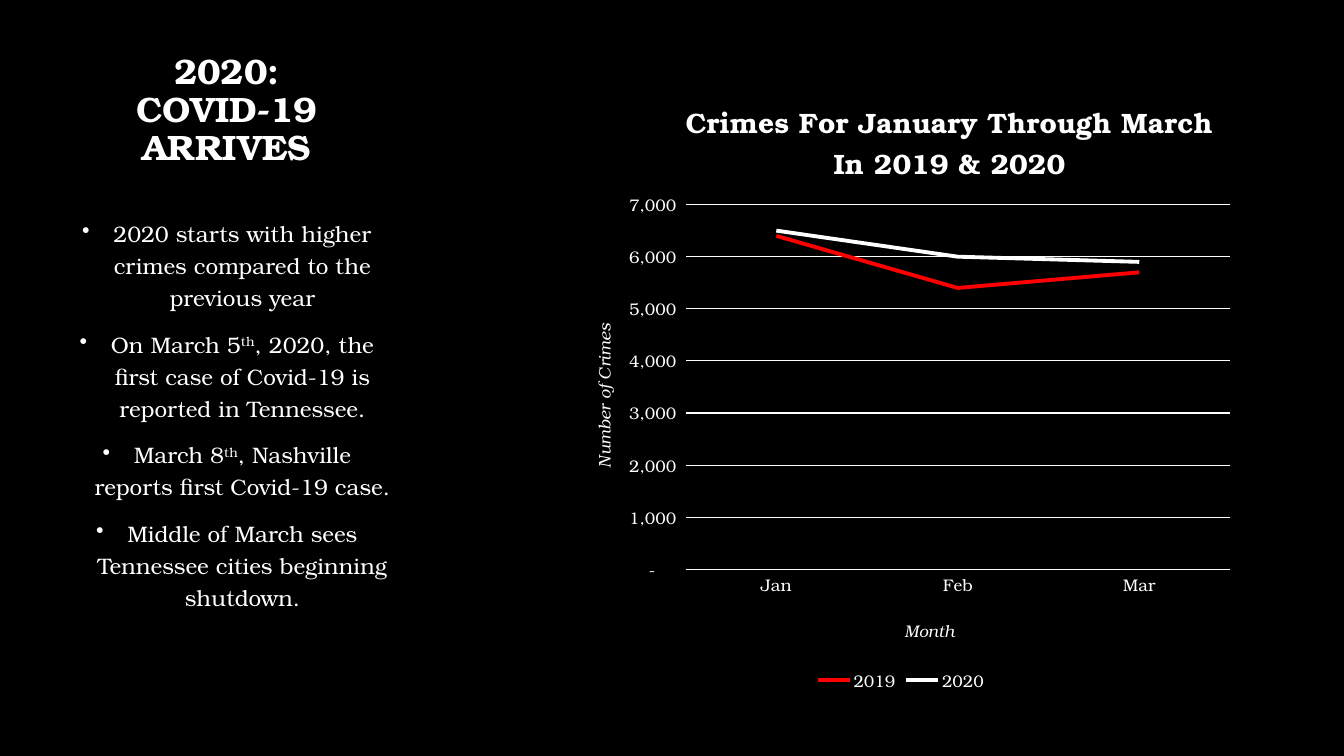
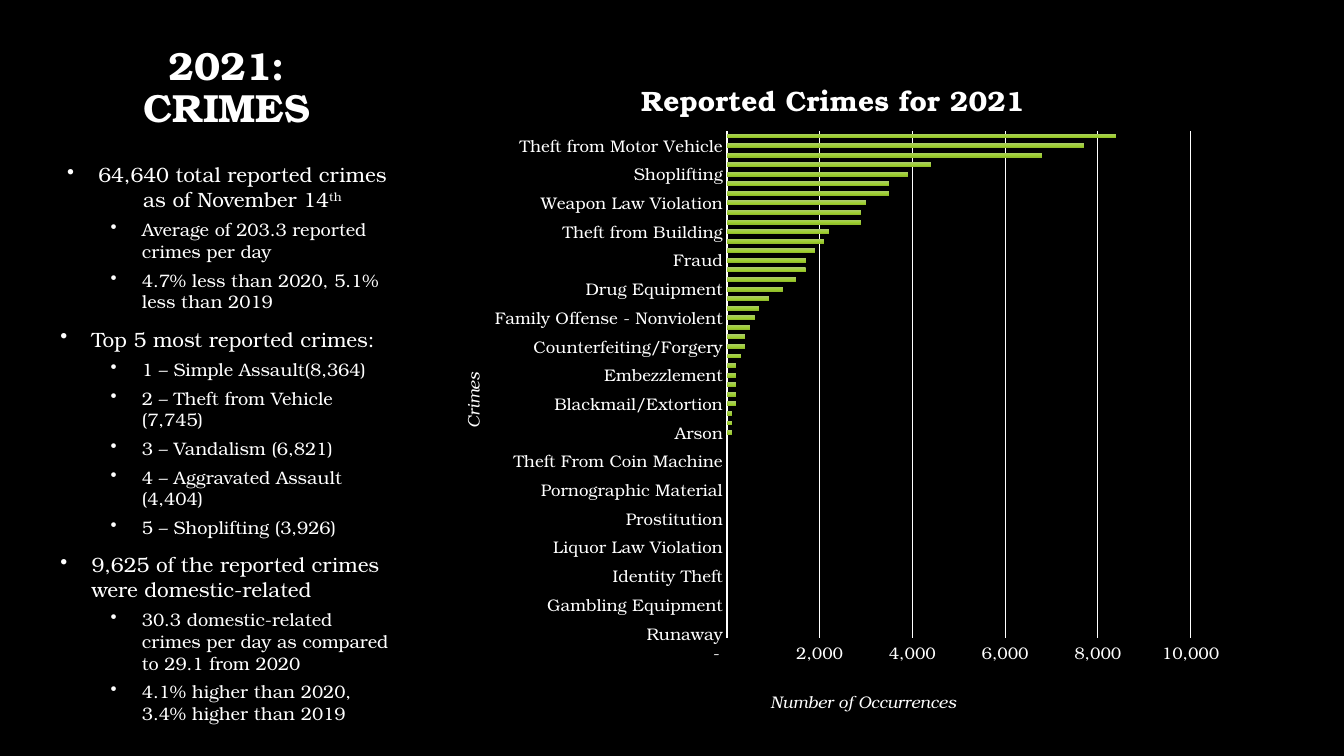
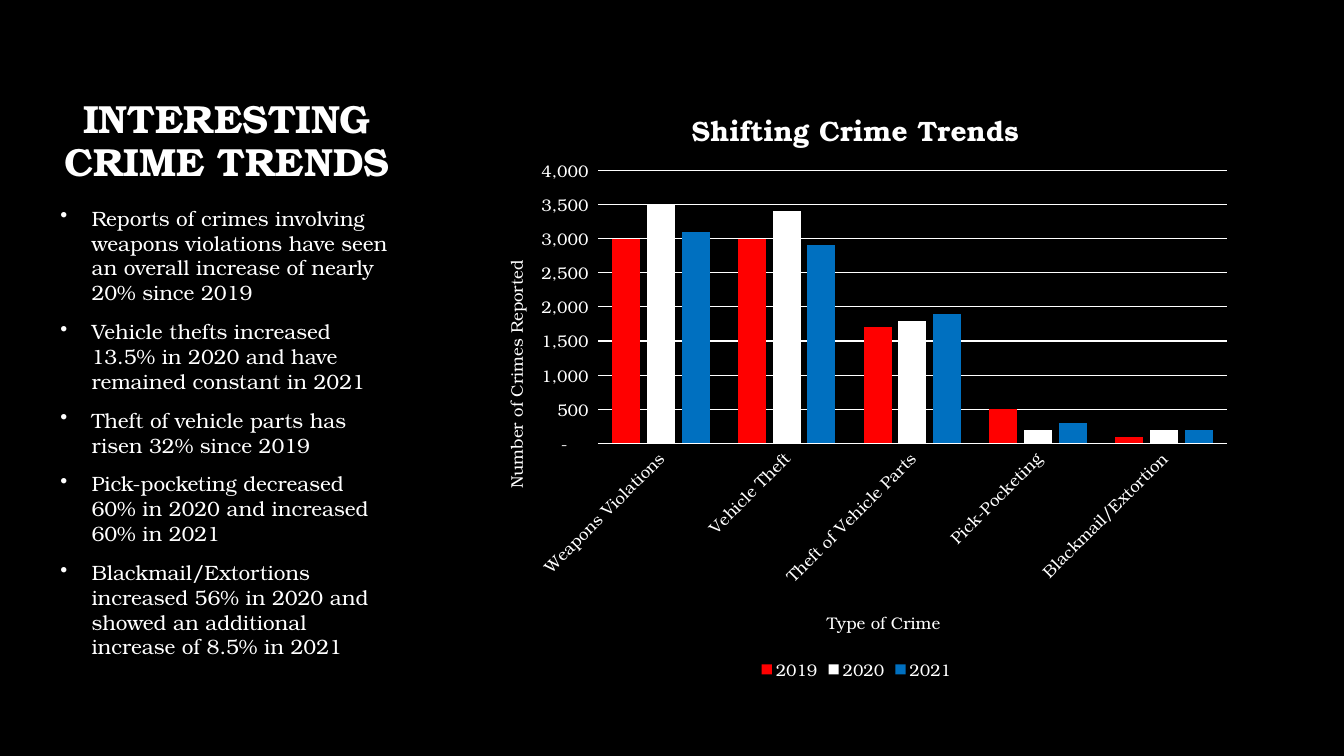
"""Build three slides on crime figures, each with bullets and a chart."""
import copy

import pptx
import pptx.chart.data
import pptx.dml.color
import pptx.enum.chart
import pptx.enum.text
import pptx.oxml
import pptx.oxml.ns
import pptx.util

Inches = pptx.util.Inches
Pt = pptx.util.Pt
KIND = pptx.enum.chart.XL_CHART_TYPE
CENTER = pptx.enum.text.PP_ALIGN.CENTER
NONE = pptx.enum.chart.XL_TICK_MARK.NONE

FONT = "TeX Gyre Bonum"
WHITE, BLACK, RED, BLUE = "FFFFFF", "000000", "FF0000", "0070C0"
GREEN = [(0, "ABCC69"), (0.69, "9ECF2E"), (1, "90BC2A")]
FORMAT = '_(* #,##0_);_(* \\(#,##0\\);_(* "-"??_);_('
LEFT, WIDTH = 0.5, 3.5

CRIMES = [
    ("Runaway", 0), ("Forcible Sodomy", 0), ("Patronizing Prostitution", 0),
    ("Gambling Equipment", 0), ("Human Trafficking", 0),
    ("Curfew/Loitering", 0), ("Identity Theft", 0),
    ("Promoting Prostitution", 0), ("Possession of Stolen Property", 0),
    ("Liquor Law Violation", 0), ("Escape", 0), ("Justifiable Homicide", 0),
    ("Prostitution", 0), ("DUI", 0), ("Public Intoxication", 0),
    ("Pornographic Material", 0), ("Purse Snatching", 0), ("Bad Check", 0),
    ("Theft From Coin Machine", 0), ("Disorderly Conduct", 0),
    ("Computer Hacking", 0), ("Arson", 100), ("Murder", 100),
    ("Stalking", 100), ("Blackmail/Extortion", 200),
    ("Kidnapping/Abduction", 200), ("All Other Offenses", 200),
    ("Embezzlement", 200), ("Wire Fraud", 200), ("Pick-Pocket", 300),
    ("Counterfeiting/Forgery", 400), ("Order of Protection Violation", 400),
    ("Trespassing", 500), ("Family Offense - Nonviolent", 600),
    ("Impersonation", 700), ("Harrassment", 900), ("Drug Equipment", 1200),
    ("Credit Card Fraud", 1500), ("Robbery", 1700), ("Fraud", 1700),
    ("Theft of Motor Vehicle Parts", 1900), ("Drug Offense", 2100),
    ("Theft from Building", 2200), ("All Other Theft", 2900),
    ("Motor Vehicle Theft", 2900), ("Weapon Law Violation", 3000),
    ("Intimidation", 3500), ("Burglary", 3500), ("Shoplifting", 3900),
    ("Aggravated Assault", 4400), ("Vandalism", 6800),
    ("Theft from Motor Vehicle", 7700), ("Simple Assault", 8400),
]

SLIDES = [
    {
        "title": "2020:\vCOVID-19 ARRIVES", "head": (0.65, 1.07, 25.2),
        "body": (2.08, 4.39), "sizes": (16, 16), "space": 1.2, "center": 4,
        "points": [
            (0, "2020 starts with higher crimes compared to the previous year"),
            (0, "On March 5^th^, 2020, the first case of Covid-19 is reported in Tennessee."),
            (0, "March 8^th^, Nashville reports first Covid-19 case."),
            (0, "Middle of March sees Tennessee cities beginning shutdown."),
        ],
        "chart": {
            "kind": KIND.LINE, "box": (5.55, 0.67, 6.77, 6.23),
            "plot": (6.8, 2.03, 5.4, 3.62), "top": 7000, "step": 1000,
            "title": ("Crimes For January Through March In 2019 & 2020", 6.75, 0.92),
            "cat": ("Month", 8.94, 6.1), "val": ("Number of Crimes", 5.83, 3.18),
            "italic": True, "legend": True,
            "names": ["Jan", "Feb", "Mar"],
            "series": [("2019", RED, [6400, 5400, 5700]),
                       ("2020", WHITE, [6500, 6000, 5900])],
        },
    },
    {
        "title": "2021:\vCRIMES", "head": (0.37, 0.98, 28),
        "body": (1.56, 5.65), "sizes": (14.8, 12.9), "space": 1, "center": 1,
        "points": [
            (0, "64,640 total reported crimes as of November 14^th"),
            (1, "Average of 203.3 reported crimes per day"),
            (1, "4.7% less than 2020, 5.1% less than 2019"),
            (0, "Top 5 most reported crimes:"),
            (1, "1 – Simple Assault(8,364)"),
            (1, "2 – Theft from Vehicle (7,745)"),
            (1, "3 – Vandalism (6,821)"),
            (1, "4 – Aggravated Assault (4,404)"),
            (1, "5 – Shoplifting (3,926)"),
            (0, "9,625 of the reported crimes were domestic-related"),
            (1, "30.3 domestic-related crimes per day as compared to 29.1 from 2020"),
            (1, "4.1% higher than 2020, 3.4% higher than 2019"),
        ],
        "chart": {
            "kind": KIND.BAR_CLUSTERED, "box": (4.25, 0.37, 8.08, 6.84),
            "plot": (7.21, 1.3, 4.6, 5.03), "top": 10000, "step": 2000,
            "title": ("Reported Crimes for 2021", 6.31, 0.7),
            "cat": ("Crimes", 4.53, 3.66),
            "val": ("Number of Occurrences", 7.61, 6.8),
            "italic": True, "legend": False, "gap": 115, "overlap": -20,
            "names": [name for name, count in CRIMES],
            "series": [("Series 1", GREEN, [count for name, count in CRIMES])],
        },
    },
    {
        "title": "INTERESTING CRIME TRENDS", "head": (0.65, 1.23, 28),
        "body": (1.99, 4.91), "sizes": (14.8, 14.8), "space": 1, "center": 0,
        "points": [
            (0, "Reports of crimes involving weapons violations have seen an overall increase of nearly 20% since 2019"),
            (0, "Vehicle thefts increased 13.5% in 2020 and have remained constant in 2021"),
            (0, "Theft of vehicle parts has risen 32% since 2019"),
            (0, "Pick-pocketing decreased 60% in 2020 and increased 60% in 2021"),
            (0, "Blackmail/Extortions increased 56% in 2020 and showed an additional increase of 8.5% in 2021"),
        ],
        "chart": {
            "kind": KIND.COLUMN_CLUSTERED, "box": (4.67, 0.67, 7.65, 6.12),
            "plot": (5.93, 1.69, 6.24, 2.71), "top": 4000, "step": 500,
            "title": ("Shifting Crime Trends", 6.81, 1),
            "cat": ("Type of Crime", 8.17, 6.02),
            "val": ("Number of Crimes Reported", 4.96, 2.55),
            "italic": False, "legend": True, "gap": 100, "overlap": -24,
            "turn": -45,
            "names": ["Weapons Violations", "Vehicle Theft",
                      "Theft of Vehicle Parts", "Pick-Pocketing",
                      "Blackmail/Extortion"],
            "series": [("2019", RED, [3000, 3000, 1700, 500, 100]),
                       ("2020", WHITE, [3500, 3400, 1800, 200, 200]),
                       ("2021", BLUE, [3100, 2900, 1900, 300, 200])],
        },
    },
]


def color(code):
    """Turn a hex string into a colour."""
    return pptx.dml.color.RGBColor.from_string(code)


def style(font, size, bold=False, italic=False):
    """Give a font the shared face and colour."""
    font.name, font.size = FONT, Pt(size)
    font.bold, font.italic = bold, italic
    font.color.rgb = color(WHITE)


def paint(fill, code):
    """Fill with one colour or with a list of gradient stops."""
    if isinstance(code, str):
        fill.solid()
        fill.fore_color.rgb = color(code)
        return
    fill.gradient()
    fill.gradient_angle = 270
    first = fill.gradient_stops[0]._gs
    first.addnext(copy.deepcopy(first))
    for stop, (place, tint) in zip(fill.gradient_stops, code):
        stop.position = place
        stop.color.rgb = color(tint)


def add_box(slide, top, height):
    """Add a wrapped text box in the left column."""
    box = slide.shapes.add_textbox(
        Inches(LEFT), Inches(top), Inches(WIDTH), Inches(height))
    box.text_frame.word_wrap = True
    return box.text_frame


def add_title(slide, text, top, height, size):
    """Add the bold heading, resting on the foot of its box."""
    frame = add_box(slide, top, height)
    frame.vertical_anchor = pptx.enum.text.MSO_ANCHOR.BOTTOM
    frame.text = text
    para = frame.paragraphs[0]
    para.alignment, para.line_spacing = CENTER, 0.9
    for run in para.runs:
        style(run.font, size, bold=True)


def add_points(slide, page):
    """Add the bullets; text after each odd caret is raised."""
    frame = add_box(slide, *page["body"])
    for i, (level, text) in enumerate(page["points"]):
        para = frame.add_paragraph() if i else frame.paragraphs[0]
        para.level = level
        para.line_spacing = float(page["space"])
        para.space_before = Pt(5 if level else 10)
        if i < page["center"]:
            para.alignment = CENTER
        props = para._p.get_or_add_pPr()
        props.set("marL", str(Inches(0.31 + level / 2)))
        props.set("indent", str(Inches(-0.31)))
        props.append(pptx.oxml.parse_xml(
            '<a:buChar %s char="•"/>' % pptx.oxml.ns.nsdecls("a")))
        for j, part in enumerate(text.split("^")):
            run = para.add_run()
            run.text = part
            style(run.font, page["sizes"][level])
            if j % 2:
                run.font._element.set("baseline", "30000")


def arrange(node, box, left, top, width=None, height=None):
    """Fix a chart part at a place given in slide inches."""
    marks = [("xMode", "edge"), ("yMode", "edge"),
             ("x", (left - box[0]) / box[2]), ("y", (top - box[1]) / box[3])]
    if width:
        marks.insert(0, ("layoutTarget", "inner"))
        marks += [("w", width / box[2]), ("h", height / box[3])]
    inner = "".join('<c:%s val="%s"/>' % mark for mark in marks)
    layout = pptx.oxml.parse_xml(
        "<c:layout %s><c:manualLayout>%s</c:manualLayout></c:layout>"
        % (pptx.oxml.ns.nsdecls("c"), inner))
    for old in node.findall(pptx.oxml.ns.qn("c:layout")):
        node.remove(old)
    text = node.find(pptx.oxml.ns.qn("c:tx"))
    if text is None:
        node.insert(0, layout)
    else:
        text.addnext(layout)


def label(owner, box, text, left, top, size, **face):
    """Write and place the title of a chart or an axis."""
    frame = (owner.chart_title if hasattr(owner, "chart_title")
             else owner.axis_title).text_frame
    frame.text = text
    style(frame.paragraphs[0].runs[0].font, size, **face)
    title = owner._element.find(".//" + pptx.oxml.ns.qn("c:title"))
    arrange(title, box, left, top)


def add_chart(slide, plan):
    """Add and style one chart."""
    data = pptx.chart.data.CategoryChartData(number_format=FORMAT)
    data.categories = plan["names"]
    for name, code, values in plan["series"]:
        data.add_series(name, values)
    box = plan["box"]
    chart = slide.shapes.add_chart(plan["kind"], *map(Inches, box), data).chart
    style(chart.font, 10)
    label(chart, box, *plan["title"], 20, bold=True)
    chart.chart_title.include_in_layout = False

    cat, val = chart.category_axis, chart.value_axis
    for axis, key in ((cat, "cat"), (val, "val")):
        label(axis, box, *plan[key], 12, italic=plan["italic"])
        axis.major_tick_mark = axis.minor_tick_mark = NONE
        style(axis.tick_labels.font, 12)
    cat.has_major_gridlines = False
    paint(cat.format.line.fill, WHITE)
    cat.format.line.width = Pt(1)
    if "turn" in plan:
        body = cat._element.find(".//" + pptx.oxml.ns.qn("c:txPr"))[0]
        body.set("rot", str(plan["turn"] * 60000))
    val.format.line.fill.background()
    val.minimum_scale, val.maximum_scale = 0, plan["top"]
    val.major_unit = plan["step"]
    val.tick_labels.number_format = FORMAT
    val.tick_labels.number_format_is_linked = False
    grid = val.major_gridlines.format.line
    paint(grid.fill, WHITE)
    grid.width = Pt(0.75)

    plot = chart.plots[0]
    plot.vary_by_categories = False
    if "gap" in plan:
        plot.gap_width, plot.overlap = plan["gap"], plan["overlap"]
    for series, (name, code, values) in zip(plot.series, plan["series"]):
        if plan["kind"] == KIND.LINE:
            series.smooth = False
            series.marker.style = pptx.enum.chart.XL_MARKER_STYLE.NONE
            paint(series.format.line.fill, code)
            series.format.line.width = Pt(2.75)
        else:
            paint(series.format.fill, code)
    chart.has_legend = plan["legend"]
    if plan["legend"]:
        chart.legend.position = pptx.enum.chart.XL_LEGEND_POSITION.BOTTOM
        chart.legend.include_in_layout = False
        style(chart.legend.font, 12)
    area = chart._chartSpace.find(".//" + pptx.oxml.ns.qn("c:plotArea"))
    arrange(area, box, *plan["plot"])


def main():
    """Build and save the deck."""
    deck = pptx.Presentation()
    deck.slide_width, deck.slide_height = Inches(13.33), Inches(7.5)
    for page in SLIDES:
        slide = deck.slides.add_slide(deck.slide_layouts[6])
        paint(slide.background.fill, BLACK)
        add_title(slide, page["title"], *page["head"])
        add_points(slide, page)
        add_chart(slide, page["chart"])
    deck.save("out.pptx")


if __name__ == "__main__":
    main()
